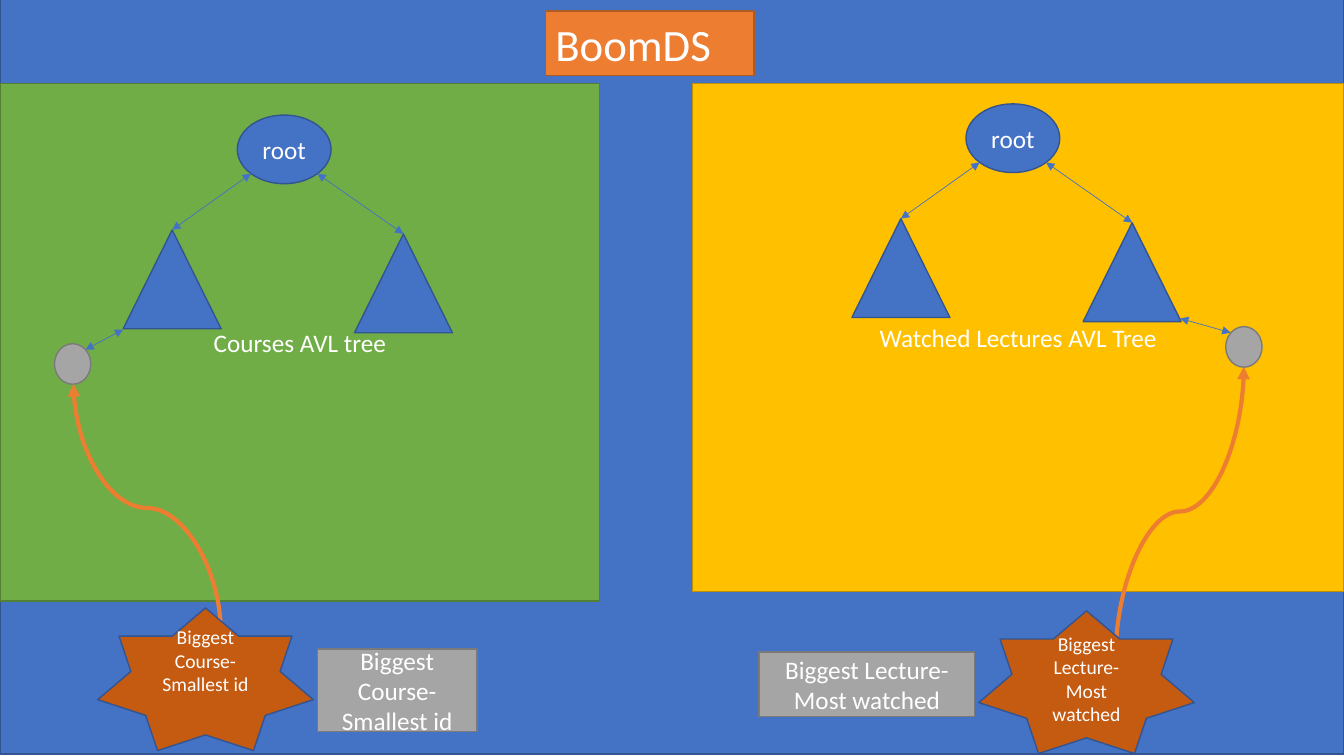
from lxml import etree
from pptx import Presentation
from pptx.dml.color import RGBColor
from pptx.enum.shapes import MSO_CONNECTOR as LINE, MSO_SHAPE as SHAPE
from pptx.enum.text import MSO_ANCHOR as ANCHOR, MSO_AUTO_SIZE as AUTO_SIZE, PP_ALIGN as ALIGN
from pptx.oxml.ns import qn
from pptx.util import Pt

COLORS = {
    "blue": "4472C4", "blue_edge": "325491",
    "orange": "ED7D31", "orange_edge": "AF5C24",
    "gold": "FFC000", "gold_edge": "BD8E00",
    "green": "70AD47", "green_edge": "538035",
    "gray": "A5A5A5", "gray_edge": "7A7A7A",
    "rust": "C55A11", "white": "FFFFFF",
}


def add_box(kind, box, fill, edge, text="", size=18):
    shape = slide.shapes.add_shape(kind, *map(Pt, box))
    shape.shadow.inherit = False
    shape.fill.solid()
    shape.fill.fore_color.rgb = RGBColor.from_string(COLORS[fill])
    shape.line.color.rgb = RGBColor.from_string(COLORS[edge])
    shape.line.width = Pt(1)
    if text:
        shape.text_frame.text = text
        shape.text_frame.vertical_anchor = ANCHOR.MIDDLE
        paragraph = shape.text_frame.paragraphs[0]
        paragraph.alignment = ALIGN.CENTER
        paragraph.font.name = "Calibri"
        paragraph.font.size = Pt(size)
        paragraph.font.color.rgb = RGBColor.from_string(COLORS["white"])
    return shape


def add_arrow(kind, begin, end, color, width, ends):
    connector = slide.shapes.add_connector(kind, *map(Pt, (*begin, *end)))
    connector.line.color.rgb = RGBColor.from_string(COLORS[color])
    connector.line.width = Pt(width)
    for tag in ends:
        etree.SubElement(connector.line._get_or_add_ln(), qn(tag), type="triangle")
    etree.SubElement(connector._element.spPr, qn("a:effectLst"))
    return connector


presentation = Presentation()
presentation.slide_width, presentation.slide_height = Pt(960), Pt(540)
slide = presentation.slides.add_slide(presentation.slide_layouts[5])

# Backdrop, behind the title
backdrop = add_box(SHAPE.RECTANGLE, (0, -1.5, 960, 540), "blue", "blue_edge")
slide.shapes._spTree.insert(2, backdrop._element)

# Title
title = slide.shapes.title
title.left, title.top, title.width, title.height = map(Pt, (389.5, 8, 149, 46))
title.fill.solid()
title.fill.fore_color.rgb = RGBColor.from_string(COLORS["orange"])
title.line.color.rgb = RGBColor.from_string(COLORS["orange_edge"])
title.line.width = Pt(1)
title.text_frame.text = "BoomDS"
title.text_frame.auto_size = AUTO_SIZE.NONE
title.text_frame.vertical_anchor = ANCHOR.TOP
paragraph = title.text_frame.paragraphs[0]
paragraph.alignment = ALIGN.LEFT
paragraph.font.name = "Calibri"
paragraph.font.size = Pt(32)
paragraph.font.color.rgb = RGBColor.from_string(COLORS["white"])

# The two AVL trees; origin is the corner of the left subtree's frame
trees = [
    dict(name="Watched Lectures AVL Tree", color="gold", panel=(494.6, 59.8, 465.4, 362.9),
         origin=(608.5, 156.2), leaf=(875.5, 233.3), link=((843, 227.5), (879, 237.6)),
         curve=((797, 468.7), (888.5, 262)), turn=90, star=(699.1, 436.3), star_inset=3.6,
         label=(542.2, 465.8, 154.1, 46.1), note="Biggest Lecture- Most watched"),
    dict(name="Courses AVL tree", color="green", panel=(0, 59.8, 428.4, 369.4),
         origin=(88, 164.2), leaf=(38.9, 245.5), link=((88, 235.4), (61, 249.8)),
         curve=((157.7, 451.4), (52.5, 274.3)), turn=270, star=(69.8, 434.2), star_inset=25.2,
         label=(226.8, 463.7, 113.8, 59), note="Biggest Course- Smallest id"),
]
ROOT_W, ROOT_H = 67, 49
SUBTREE_W, SUBTREE_H = 70, 70.6
DIAGONAL = 0.354  # half of cos 45°, as a share of the ellipse's size
BOTH_ENDS = ("a:headEnd", "a:tailEnd")

for tree in trees:
    add_box(SHAPE.RECTANGLE, tree["panel"], tree["color"], tree["color"] + "_edge", tree["name"])

    # Root and its two subtrees
    left, top = tree["origin"]
    root_x, root_y = left + 115, top - 57.5
    add_box(SHAPE.OVAL, (root_x - ROOT_W / 2, root_y - ROOT_H / 2, ROOT_W, ROOT_H),
            "blue", "blue_edge", "root")
    for side, x, y in ((-1, left, top), (1, left + 165.2, top + 2.9)):
        add_box(SHAPE.ISOSCELES_TRIANGLE, (x, y, SUBTREE_W, SUBTREE_H), "blue", "blue_edge")
        corner = (root_x + side * DIAGONAL * ROOT_W, root_y + DIAGONAL * ROOT_H)
        add_arrow(LINE.STRAIGHT, corner, (x + SUBTREE_W / 2, y), "blue", 0.5, BOTH_ENDS)

    # Outermost leaf
    add_arrow(LINE.STRAIGHT, *tree["link"], "blue", 0.5, BOTH_ENDS)
    add_box(SHAPE.OVAL, (*tree["leaf"], 26, 29), "gray", "gray_edge")

    # Curve from star to leaf, laid flat and then turned to leave vertically
    (x1, y1), (x2, y2) = tree["curve"]
    center_x, center_y = (x1 + x2) / 2, (y1 + y2) / 2
    sign = 1 if tree["turn"] == 90 else -1
    dx, dy = sign * (y1 - center_y), sign * (center_x - x1)
    curve = add_arrow(LINE.CURVE, (center_x + dx, center_y + dy), (center_x - dx, center_y - dy),
                      "orange", 3, ("a:tailEnd",))
    curve._element.spPr.find(qn("a:xfrm")).set("rot", str(tree["turn"] * 60000))

    # Star and label
    star = add_box(SHAPE.STAR_7_POINT, (*tree["star"], 154, 102), "rust", "blue_edge",
                   tree["note"], 14)
    star.text_frame.margin_bottom = Pt(tree["star_inset"])
    add_box(SHAPE.RECTANGLE, tree["label"], "gray", "gray_edge", tree["note"])

presentation.save("out.pptx")
